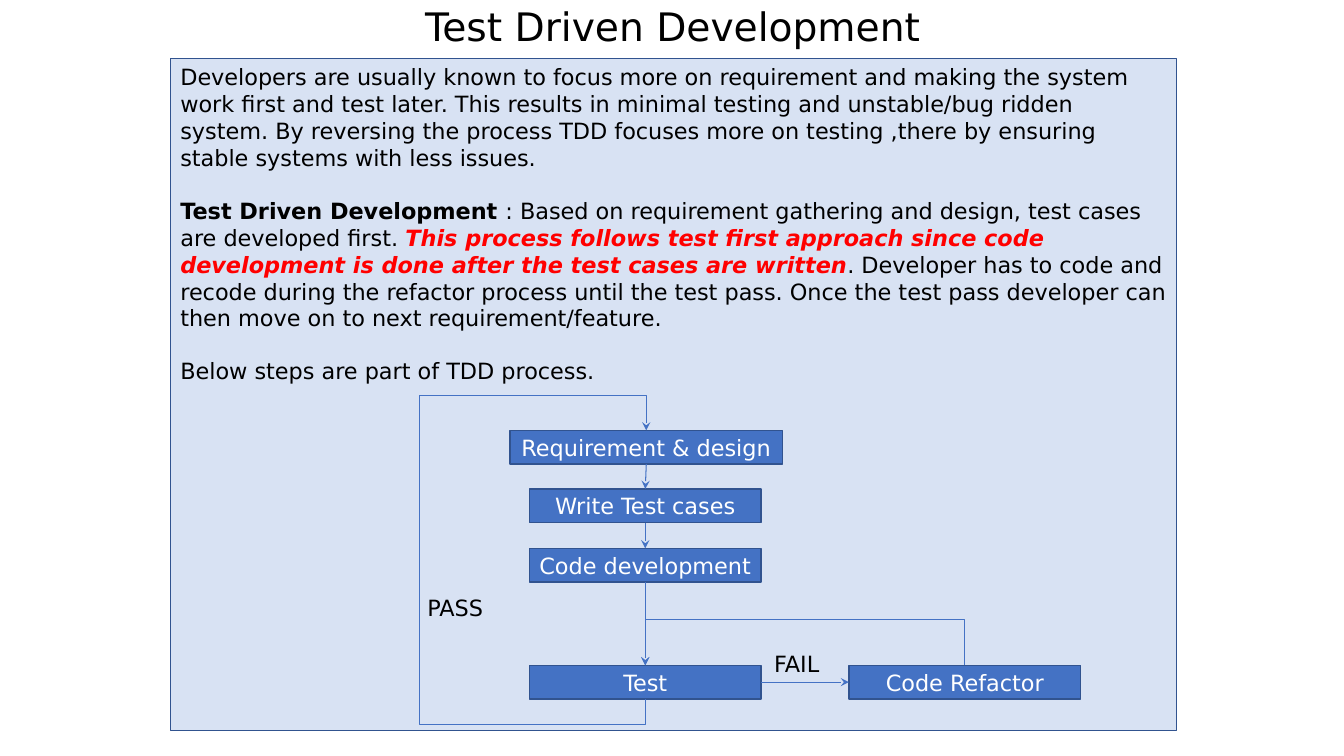
"""Build the Test Driven Development slide."""
from dataclasses import dataclass

from lxml import etree
from pptx import Presentation
from pptx import util as u
from pptx.dml.color import RGBColor
from pptx.enum import shapes, text
from pptx.oxml.ns import qn

BLACK = RGBColor(0x00, 0x00, 0x00)
WHITE = RGBColor(0xFF, 0xFF, 0xFF)
RED = RGBColor(0xFF, 0x00, 0x00)
PALE = RGBColor(0xD8, 0xE2, 0xF3)
BLUE = RGBColor(0x44, 0x72, 0xC4)
NAVY = RGBColor(0x31, 0x53, 0x8F)
FONT = "DejaVu Sans"
BODY = 16
GAP = u.Pt(18.7)
TOP, RIGHT, BOTTOM, LEFT = 0, 3, 2, 1


@dataclass(frozen=True)
class Step:
    name: str
    left: float
    top: float
    width: float = 2.3
    height: float = 0.335


@dataclass(frozen=True)
class Link:
    start: str
    out: int
    end: str
    into: int


@dataclass(frozen=True)
class Label:
    words: str
    left: float
    top: float
    width: float


@dataclass(frozen=True)
class Part:
    words: str
    color: RGBColor = BLACK
    bold: bool = False
    slant: bool = False


STEPS = [
    Step("Requirement & design", 5.06, 4.27, 2.7),
    Step("Write Test cases", 5.25, 4.85),
    Step("Code development", 5.25, 5.44),
    Step("Test", 5.25, 6.6),
    Step("Code Refactor", 8.42, 6.6),
]
LINKS = [
    Link("Requirement & design", BOTTOM, "Write Test cases", TOP),
    Link("Write Test cases", BOTTOM, "Code development", TOP),
    Link("Code development", BOTTOM, "Test", TOP),
    Link("Test", RIGHT, "Code Refactor", LEFT),
]
ROUTES = [
    [(6.4, 6.94), (6.4, 7.19), (4.16, 7.19), (4.16, 3.92), (6.41, 3.92), (6.41, 4.27)],
    [(9.57, 6.6), (9.57, 6.15), (6.4, 6.15), (6.4, 6.6)],
]
LABELS = [Label("PASS", 4.14, 5.85, 0.79), Label("FAIL", 7.58, 6.4, 0.69)]
PARAS = [
    [Part("Developers are usually known to focus more on requirement and making the "
          "system work first and test later. This results in minimal testing and "
          "unstable/bug ridden system. By reversing the process TDD focuses more on "
          "testing ,there by ensuring stable systems with less issues.")],
    [Part("Test Driven Development ", bold=True),
     Part(": Based on requirement gathering and design, test cases are developed first. "),
     Part("This process follows test first approach since code development is done "
          "after the test cases are written", RED, True, True),
     Part(". Developer has to code and recode during the refactor process until the "
          "test pass. Once the test pass developer can then move on to next "
          "requirement/feature.")],
    [Part("Below steps are part of TDD process.")],
]


def style(run, size: float, part: Part) -> None:
    """Format one run."""
    font = run.font
    font.name, font.size = FONT, u.Pt(size)
    font.bold, font.italic = part.bold, part.slant
    font.color.rgb = part.color


def write(frame, words: str, size: float, color: RGBColor, align) -> None:
    """Put one line of text in a frame."""
    frame.text = words
    frame.word_wrap = True
    para = frame.paragraphs[0]
    para.alignment = align
    style(para.runs[0], size, Part(words, color))


def draw_box(slide, area: tuple, fill: RGBColor):
    """Draw an outlined rectangle."""
    box = slide.shapes.add_shape(
        shapes.MSO_SHAPE.RECTANGLE, *(u.Inches(n) for n in area))
    box.shadow.inherit = False
    box.fill.solid()
    box.fill.fore_color.rgb = fill
    box.line.color.rgb = NAVY
    box.line.width = u.Pt(1)
    return box


def draw_panel(slide) -> None:
    """Draw the panel and its paragraphs."""
    frame = draw_box(slide, (1.69, 0.58, 9.98, 6.67), PALE).text_frame
    frame.word_wrap = True
    frame.vertical_anchor = text.MSO_ANCHOR.TOP
    for rank, parts in enumerate(PARAS):
        para = frame.add_paragraph() if rank else frame.paragraphs[0]
        para.alignment = text.PP_ALIGN.LEFT
        para.space_before = GAP if rank else u.Pt(0)
        for part in parts:
            run = para.add_run()
            run.text = part.words
            style(run, BODY, part)


def draw_step(slide, step: Step):
    """Draw one step of the process."""
    box = draw_box(slide, (step.left, step.top, step.width, step.height), BLUE)
    write(box.text_frame, step.name, BODY, WHITE, text.PP_ALIGN.CENTER)
    box.text_frame.vertical_anchor = text.MSO_ANCHOR.MIDDLE
    return box


def point(line) -> None:
    """Give a line its colour, width and arrowhead."""
    line.line.color.rgb = BLUE
    line.line.width = u.Pt(0.75)
    props = line.element.spPr
    etree.SubElement(props.find(qn("a:ln")), qn("a:tailEnd"), type="stealth")
    etree.SubElement(props, qn("a:effectLst"))


def draw_link(slide, link: Link, boxes: dict) -> None:
    """Join two steps with a straight arrow."""
    line = slide.shapes.add_connector(shapes.MSO_CONNECTOR.STRAIGHT, 0, 0, 0, 0)
    line.begin_connect(boxes[link.start], link.out)
    line.end_connect(boxes[link.end], link.into)
    point(line)


def draw_route(slide, spots: list) -> None:
    """Draw an arrow with right-angled bends."""
    first, *rest = [(u.Inches(x), u.Inches(y)) for x, y in spots]
    pen = slide.shapes.build_freeform(*first)
    pen.add_line_segments(rest, close=False)
    line = pen.convert_to_shape()
    line.fill.background()
    point(line)


def draw_label(slide, label: Label) -> None:
    """Write a label beside an arrow."""
    box = slide.shapes.add_textbox(
        *(u.Inches(n) for n in (label.left, label.top, label.width, 0.37)))
    write(box.text_frame, label.words, BODY, BLACK, text.PP_ALIGN.LEFT)


def draw_title(slide) -> None:
    """Place and format the title."""
    title = slide.shapes.title
    title.left, title.top, title.width, title.height = (
        u.Inches(n) for n in (2.17, -0.13, 9, 0.78))
    write(title.text_frame, "Test Driven Development", 28, BLACK, text.PP_ALIGN.CENTER)
    title.text_frame.auto_size = text.MSO_AUTO_SIZE.NONE
    title.text_frame.vertical_anchor = text.MSO_ANCHOR.MIDDLE


def main() -> None:
    """Build and save the slide."""
    deck = Presentation()
    deck.slide_width, deck.slide_height = u.Inches(13.33), u.Inches(7.5)
    slide = deck.slides.add_slide(deck.slide_layouts[5])
    draw_title(slide)
    draw_panel(slide)
    boxes = {step.name: draw_step(slide, step) for step in STEPS}
    for link in LINKS:
        draw_link(slide, link, boxes)
    for spots in ROUTES:
        draw_route(slide, spots)
    for label in LABELS:
        draw_label(slide, label)
    deck.save("out.pptx")


if __name__ == "__main__":
    main()
